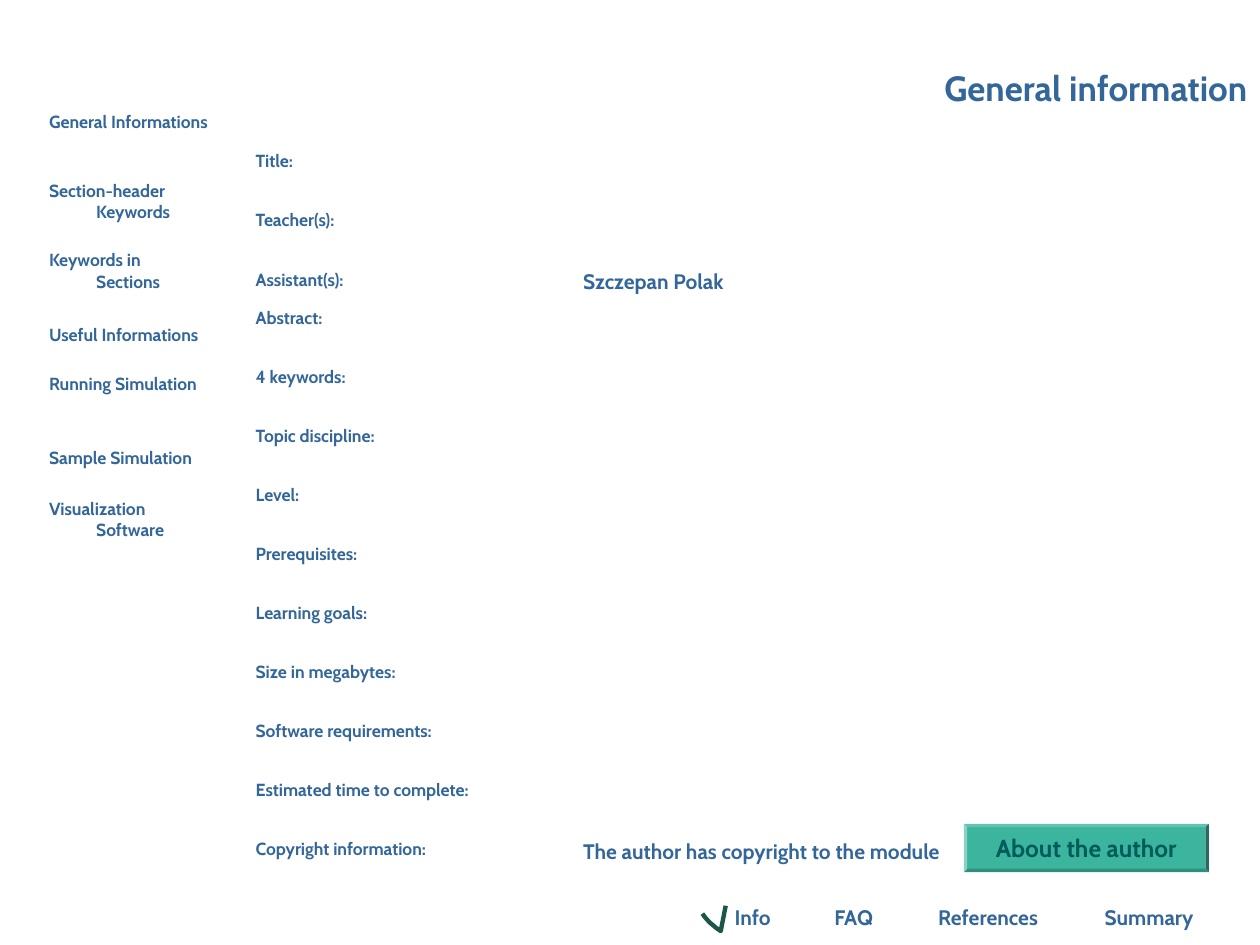
from pptx import Presentation
from pptx.dml.color import RGBColor
from pptx.enum.shapes import MSO_SHAPE
from pptx.enum.text import MSO_ANCHOR, MSO_AUTO_SIZE, PP_ALIGN
from pptx.util import Cm, Pt

LEFT, CENTER, RIGHT = PP_ALIGN.LEFT, PP_ALIGN.CENTER, PP_ALIGN.RIGHT
TOP, MIDDLE, BOTTOM = MSO_ANCHOR.TOP, MSO_ANCHOR.MIDDLE, MSO_ANCHOR.BOTTOM
NO_AUTOFIT = MSO_AUTO_SIZE.NONE
BEVEL = MSO_SHAPE.BEVEL
FONT = "Cabin"
BLUE, GREEN, DARK_GREEN, TICK_GREEN = "336699", "3BB59E", "005C5A", "1C564B"


def color(hex_string):
    return RGBColor.from_string(hex_string)


def write(text_frame, text, size, align=LEFT, hex_string=BLUE):
    """Add one bold run to the first paragraph and return the paragraph."""
    paragraph = text_frame.paragraphs[0]
    paragraph.alignment = align
    run = paragraph.add_run()
    run.text = text
    run.font.name = FONT
    run.font.size = Pt(size)
    run.font.bold = True
    run.font.color.rgb = color(hex_string)
    return paragraph


presentation = Presentation()
presentation.slide_width = Cm(25.4)
presentation.slide_height = Cm(19.05)
slide = presentation.slides.add_slide(presentation.slide_layouts[5])

# Title
title = slide.shapes.title
title.left, title.top, title.width, title.height = Cm(4.88), Cm(0.91), Cm(20.52), Cm(1.4)
title.text_frame.vertical_anchor = BOTTOM
title.text_frame.auto_size = NO_AUTOFIT
write(title.text_frame, "General information", 20, RIGHT)

# Bottom navigation: text, left, width
navigation = [
    ("Info", 14.3, 1.75),
    ("FAQ", 16.46, 1.5),
    ("References", 18.47, 2.9),
    ("Summary", 21.87, 2.59),
]
for text, left, width in navigation:
    label = slide.shapes.add_textbox(Cm(left), Cm(18.11), Cm(width), Cm(0.76))
    label.text_frame.word_wrap = True
    label.text_frame.vertical_anchor = BOTTOM
    write(label.text_frame, text, 12, CENTER)

# Side menu: text, top, width, height
menu = [
    ("General Informations", 2.24, 3.3, 0.89),
    ("Section-header Keywords", 3.63, 3.07, 0.84),
    ("Keywords in Sections", 5.03, 3.18, 0.89),
    ("Useful Informations", 6.53, 3.71, 0.61),
    ("Running Simulation", 7.52, 3.4, 0.89),
    ("Sample Simulation", 9.02, 3.4, 0.51),
    ("Visualization Software", 10.03, 3.1, 0.89),
]
for text, top, width, height in menu:
    entry = slide.shapes.add_textbox(Cm(0.99), Cm(top), Cm(width), Cm(height))
    frame = entry.text_frame
    frame.word_wrap = True
    frame.vertical_anchor = TOP
    frame.margin_left = frame.margin_right = frame.margin_top = frame.margin_bottom = 0
    properties = write(frame, text, 10)._p.get_or_add_pPr()
    properties.set("marL", str(Cm(0.95)))
    properties.set("indent", str(-Cm(0.95)))

# Information table
information = [
    ("Title:", ""),
    ("Teacher(s):", ""),
    ("Assistant(s):", "Szczepan Polak"),
    ("Abstract:", ""),
    ("4 keywords:", ""),
    ("Topic discipline:", ""),
    ("Level:", ""),
    ("Prerequisites:", ""),
    ("Learning goals:", ""),
    ("Size in megabytes:", ""),
    ("Software requirements:", ""),
    ("Estimated time to complete:", ""),
    ("Copyright information:", "The author has copyright to the module"),
]
table = slide.shapes.add_table(
    len(information), 2, Cm(4.9), Cm(2.92), Cm(19.6), Cm(14.63)
).table
table.first_row = False
table.horz_banding = False
table.columns[0].width = Cm(6.6)
table.columns[1].width = Cm(13)
for row_index, entries in enumerate(information):
    table.rows[row_index].height = Cm(0.77 if entries[1] else 1.19)
    for column_index, (text, size) in enumerate(zip(entries, (10, 12))):
        cell = table.cell(row_index, column_index)
        cell.fill.background()
        if text:
            write(cell.text_frame, text, size)

# Author button
button = slide.shapes.add_shape(BEVEL, Cm(19.43), Cm(16.61), Cm(4.94), Cm(0.97))
button.adjustments[0] = 0.07
button.shadow.inherit = False
button.fill.solid()
button.fill.fore_color.rgb = color(GREEN)
button.line.fill.background()
button.text_frame.word_wrap = False
button.text_frame.vertical_anchor = MIDDLE
write(button.text_frame, "About the author", 14, CENTER, DARK_GREEN)

# Tick beside the current page
tick_points = [
    (14.63, 18.26), (14.53, 18.77), (14.43, 18.7), (14.37, 18.65),
    (14.3, 18.59), (14.22, 18.5), (14.16, 18.42),
]
builder = slide.shapes.build_freeform(*map(Cm, tick_points[0]))
builder.add_line_segments([(Cm(x), Cm(y)) for x, y in tick_points[1:]], close=False)
tick = builder.convert_to_shape()
tick.shadow.inherit = False
tick.fill.background()
tick.line.color.rgb = color(TICK_GREEN)
tick.line.width = Pt(2.5)

presentation.save("out.pptx")
